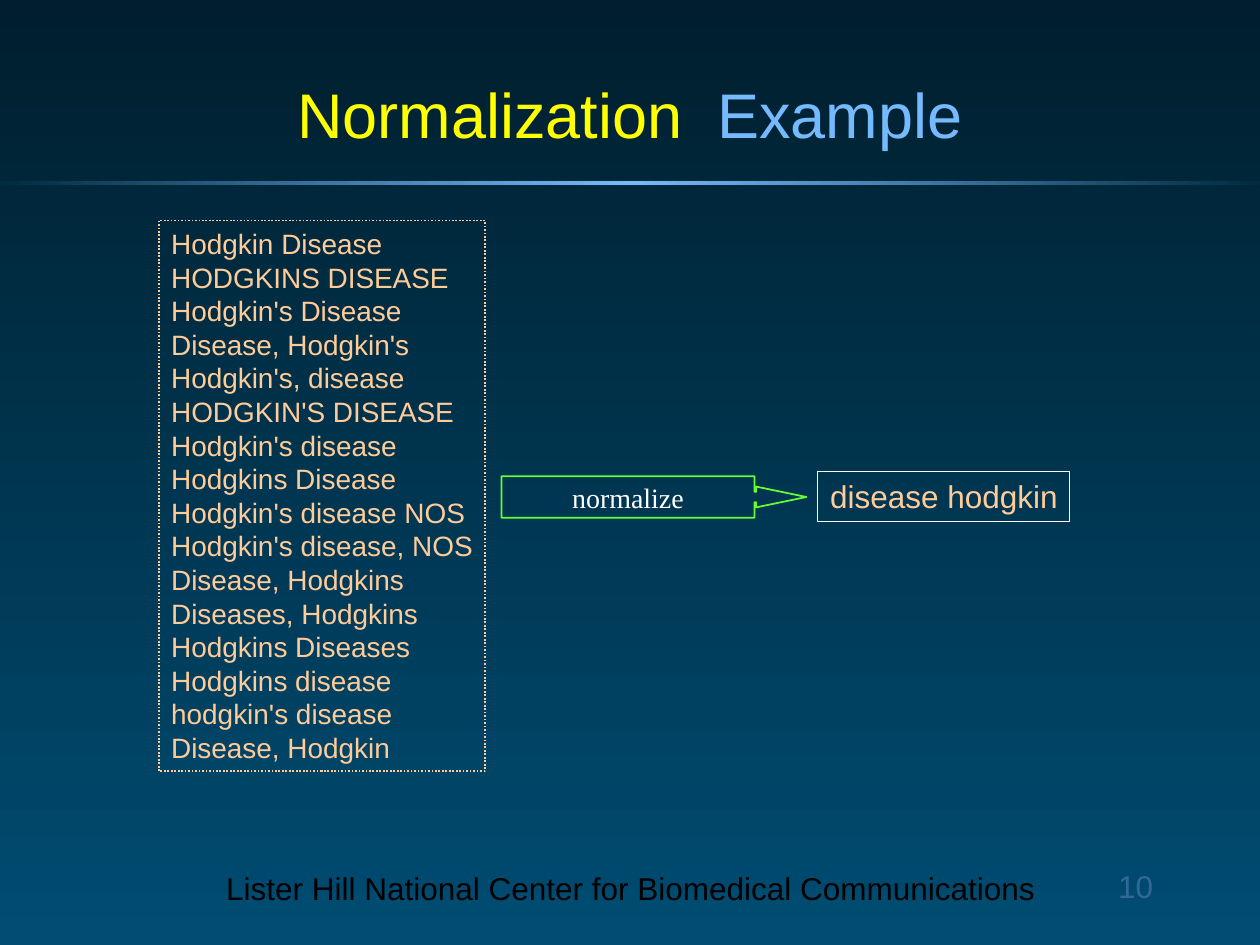
from dataclasses import dataclass

from lxml import etree
from pptx import Presentation
from pptx.dml.color import RGBColor
from pptx.enum.dml import MSO_LINE
from pptx.enum.shapes import MSO_SHAPE
from pptx.enum.text import MSO_ANCHOR, MSO_AUTO_SIZE, PP_ALIGN
from pptx.oxml.ns import qn
from pptx.util import Inches, Pt

RECTANGLE, CALLOUT = MSO_SHAPE.RECTANGLE, MSO_SHAPE.RIGHT_ARROW_CALLOUT
LEFT, CENTER, RIGHT = PP_ALIGN.LEFT, PP_ALIGN.CENTER, PP_ALIGN.RIGHT
TOP, MIDDLE, BOTTOM = MSO_ANCHOR.TOP, MSO_ANCHOR.MIDDLE, MSO_ANCHOR.BOTTOM
DOTTED = MSO_LINE.ROUND_DOT


@dataclass(frozen=True)
class Theme:
    sans: str = "Arial"
    serif: str = "Times New Roman"
    title_size: int = 36
    body_size: int = 18
    term_size: int = 16
    yellow: str = "FFFF00"
    sky: str = "75BAFF"
    peach: str = "FFCC99"
    green: str = "66FF33"
    white: str = "FFFFFF"
    black: str = "000000"
    steel: str = "336699"
    backdrop: tuple = ((0, "001E2D"), (100, "004C72"))
    rule: tuple = ((0, "002B40"), (50, "75BAFF"), (100, "002B40"))


THEME = Theme()

TITLE = [("Normalization  ", THEME.yellow), ("Example", THEME.sky)]
VARIANTS = [
    "Hodgkin Disease",
    "HODGKINS DISEASE",
    "Hodgkin's Disease",
    "Disease, Hodgkin's",
    "Hodgkin's, disease",
    "HODGKIN'S DISEASE",
    "Hodgkin's disease",
    "Hodgkins Disease",
    "Hodgkin's disease NOS",
    "Hodgkin's disease, NOS",
    "Disease, Hodgkins",
    "Diseases, Hodgkins",
    "Hodgkins Diseases",
    "Hodgkins disease",
    "hodgkin's disease",
    "Disease, Hodgkin",
]
STEP = "normalize"
RESULT = "disease hodgkin"
FOOTER = "Lister Hill National Center for Biomedical Communications"
PAGE_NUMBER = "10"


def color(value):
    return RGBColor.from_string(value)


def set_gradient(fill, owner, stops, angle):
    """Give fill the (percent, colour) stops; owner is the XML element that holds it."""
    fill.gradient()
    fill.gradient_angle = angle
    stop_list = owner.find(".//" + qn("a:gsLst"))
    for stop in list(stop_list):
        stop_list.remove(stop)
    for percent, value in stops:
        stop = etree.SubElement(stop_list, qn("a:gs"), pos=str(percent * 1000))
        etree.SubElement(stop, qn("a:srgbClr"), val=value)


def write(box, lines, size, font=THEME.sans, align=LEFT, anchor=TOP, wrap=True, grow=False):
    """Fill box with lines, each a list of (text, colour) spans."""
    frame = box.text_frame
    frame.word_wrap = wrap
    frame.vertical_anchor = anchor
    frame.auto_size = MSO_AUTO_SIZE.SHAPE_TO_FIT_TEXT if grow else MSO_AUTO_SIZE.NONE
    for index, spans in enumerate(lines):
        para = frame.paragraphs[0] if index == 0 else frame.add_paragraph()
        para.alignment = align
        for text, value in spans:
            span = para.add_run()
            span.text = text
            span.font.name = font
            span.font.size = Pt(size)
            span.font.color.rgb = color(value)


def add_text(page, place, lines, size, **options):
    box = page.shapes.add_textbox(*map(Inches, place))
    write(box, lines, size, **options)


def add_outline(page, kind, place, line_color, width):
    box = page.shapes.add_shape(kind, *map(Inches, place))
    box.shadow.inherit = False
    box.fill.background()
    box.line.color.rgb = color(line_color)
    box.line.width = Pt(width)
    return box


def write_terms(box, terms, size):
    """List terms one a line; the narrow right margin keeps the longest from breaking."""
    box.text_frame.margin_right = Inches(0.04)
    write(box, [[(term, THEME.peach)] for term in terms], size, wrap=False)


def add_backdrop(page):
    set_gradient(page.background.fill, page.element, THEME.backdrop, 270)
    rule = page.shapes.add_shape(RECTANGLE, 0, Inches(1.44), Inches(10), Inches(0.03))
    rule.shadow.inherit = False
    rule.line.fill.background()
    set_gradient(rule.fill, rule.element, THEME.rule, 180)


def add_normalization(page):
    variants = add_outline(page, RECTANGLE, (1.26, 1.75, 2.59, 4.37), THEME.peach, 1)
    variants.line.dash_style = DOTTED
    write_terms(variants, VARIANTS, THEME.term_size)

    step = add_outline(page, CALLOUT, (3.98, 3.78, 2.42, 0.33), THEME.green, 1)
    for index, value in enumerate((0.25, 0.25, 1.21, 0.83)):
        step.adjustments[index] = value
    write(step, [[(STEP, THEME.white)]], THEME.term_size, font=THEME.serif,
          align=CENTER, anchor=MIDDLE, wrap=False)

    result = add_outline(page, RECTANGLE, (6.49, 3.74, 2, 0.4), THEME.white, 0.75)
    write_terms(result, [RESULT], THEME.body_size)


def main():
    deck = Presentation()
    deck.slide_width, deck.slide_height = Inches(10), Inches(7.5)
    page = deck.slides.add_slide(deck.slide_layouts[6])
    add_backdrop(page)
    add_text(page, (1.63, 6.85, 6.75, 0.4), [[(FOOTER, THEME.black)]],
             THEME.body_size, align=CENTER, grow=True)
    add_text(page, (0.75, 0.5, 8.5, 0.75), [TITLE], THEME.title_size,
             align=CENTER, anchor=BOTTOM)
    add_normalization(page)
    add_text(page, (7.17, 6.83, 2.08, 0.5), [[(PAGE_NUMBER, THEME.steel)]],
             THEME.body_size, align=RIGHT)
    deck.save("out.pptx")


if __name__ == "__main__":
    main()
